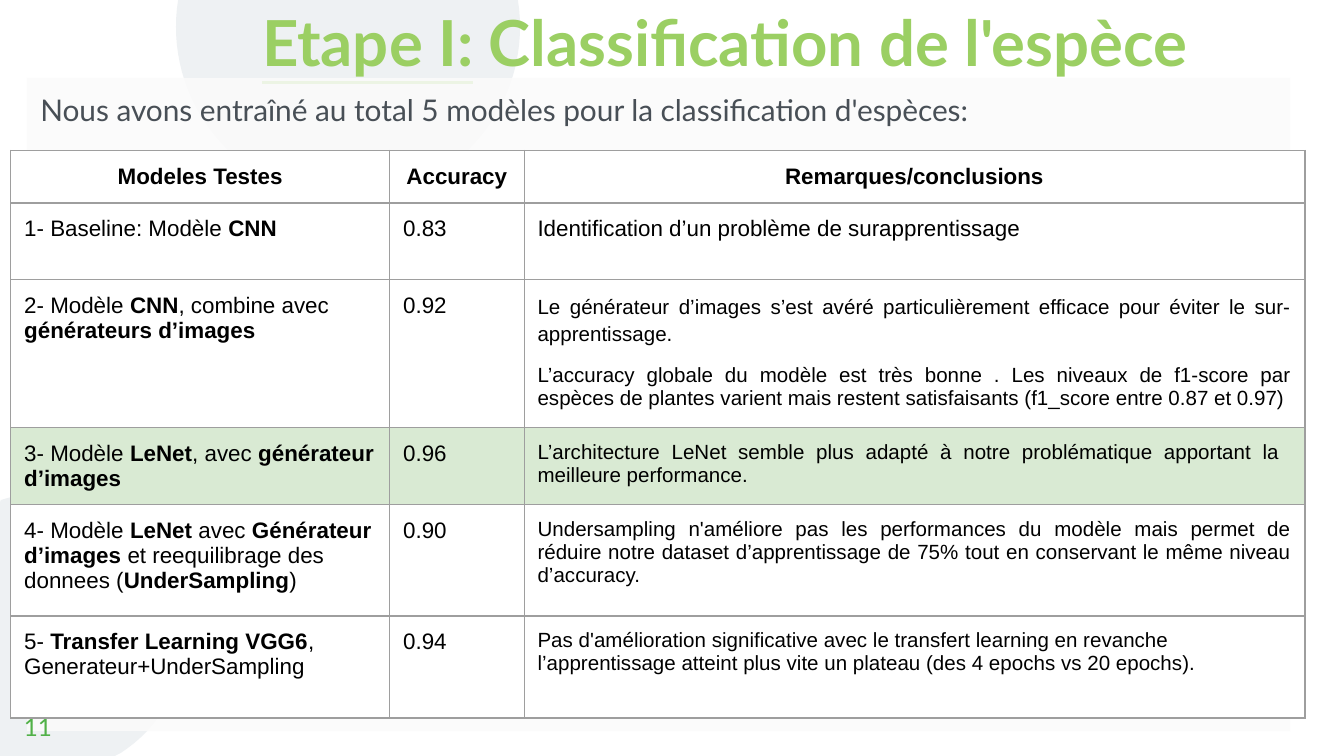
import math
from dataclasses import dataclass

import pptx
import pptx.dml.color
import pptx.enum.text
import pptx.oxml
import pptx.oxml.ns
import pptx.util
from pptx.util import Inches

COLORS = {
    "white": "FFFFFF",
    "black": "000000",
    "title": "9BCF63",
    "body": "484F56",
    "panel": "FBFBFB",
    "circle": "EEF1F3",
    "number": "51B148",
    "border": "9E9E9E",
    "best": "D9EAD3",
}
ALIGN = pptx.enum.text.PP_ALIGN
ANCHOR = pptx.enum.text.MSO_ANCHOR
SLIDE_WIDTH = 10
SLIDE_HEIGHT = SLIDE_WIDTH * 9 / 16
COLUMN_WIDTHS = (2.82, 1, 5.81)
HEADER_HEIGHT = 0.39


@dataclass
class Circle:
    x: float
    y: float
    radius: float


@dataclass
class Remark:
    text: str
    size: float = 11
    align: ALIGN = ALIGN.JUSTIFY
    line_spacing: float = 1.0
    space_before: float = 0


@dataclass
class ModelRow:
    model: str
    accuracy: str
    remarks: list[Remark]
    height: float
    fill: str = "white"


CIRCLES = [Circle(2.59, 0.2, 1.28), Circle(0.33, 4.72, 1.05)]
HEADINGS = ("Modeles Testes", "Accuracy", "Remarques/conclusions")
MODELS = [
    ModelRow("1- Baseline: Modèle **CNN**", "0.83",
             [Remark("Identification d’un problème de surapprentissage", 12, ALIGN.LEFT)], 0.57),
    ModelRow("2- Modèle **CNN**, combine avec **générateurs d’images**", "0.92",
             [Remark("Le générateur d’images s’est avéré particulièrement efficace pour "
                     "éviter le sur-apprentissage.", line_spacing=1.15),
              Remark("L’accuracy globale du modèle est très bonne . Les niveaux de f1-score "
                     "par espèces de plantes varient mais restent satisfaisants "
                     "(f1_score entre 0.87 et 0.97)", space_before=10)], 1.1),
    ModelRow("3- Modèle **LeNet**, avec **générateur d’images**", "0.96",
             [Remark("L’architecture LeNet semble plus adapté à notre problématique "
                     "apportant la  meilleure performance.")], 0.57, "best"),
    ModelRow("4- Modèle **LeNet** avec **Générateur d’images **et reequilibrage des donnees "
             "(**UnderSampling**)", "0.90",
             [Remark("Undersampling n'améliore pas les performances du modèle mais permet de "
                     "réduire notre dataset d’apprentissage de 75% tout en conservant le même "
                     "niveau d’accuracy.")], 0.83),
    ModelRow("5- **Transfer Learning VGG6**, Generateur+UnderSampling", "0.94",
             [Remark("Pas d'amélioration significative avec le transfert learning en revanche "
                     "l’apprentissage atteint plus vite un plateau "
                     "(des 4 epochs vs 20 epochs).", align=ALIGN.LEFT)], 0.76),
]


def rgb(name: str) -> pptx.dml.color.RGBColor:
    return pptx.dml.color.RGBColor.from_string(COLORS[name])


def paint(fill, name: str) -> None:
    fill.solid()
    fill.fore_color.rgb = rgb(name)


def write_text(paragraph, text: str, *, size: float = 12, font: str = "Arial",
               color: str = "black", bold: bool = False, underline: bool = False,
               align: ALIGN = ALIGN.LEFT, line_spacing: float = 1.0,
               space_before: float = 0) -> None:
    paragraph.alignment = align
    paragraph.line_spacing = line_spacing
    paragraph.space_before = pptx.util.Pt(space_before)
    for index, part in enumerate(text.split("**")):
        if not part:
            continue
        run = paragraph.add_run()
        run.text = part
        run.font.size = pptx.util.Pt(size)
        run.font.name = font
        run.font.bold = bold or index % 2 == 1
        run.font.underline = underline
        run.font.color.rgb = rgb(color)


def set_frame(frame, anchor: ANCHOR) -> None:
    frame.word_wrap = True
    frame.auto_size = pptx.enum.text.MSO_AUTO_SIZE.NONE
    frame.vertical_anchor = anchor
    frame.margin_left = frame.margin_right = Inches(0.1)
    frame.margin_top = frame.margin_bottom = Inches(0.1)


def place(shape, left: float, top: float, width: float, height: float) -> None:
    shape.left, shape.top = Inches(left), Inches(top)
    shape.width, shape.height = Inches(width), Inches(height)


def draw_circle(slide, circle: Circle) -> None:
    outline = []
    for degrees in range(0, 360, 3):
        angle = math.radians(degrees)
        x = circle.x + circle.radius * math.cos(angle)
        y = circle.y + circle.radius * math.sin(angle)
        outline.append((Inches(min(max(x, 0), SLIDE_WIDTH)),
                        Inches(min(max(y, 0), SLIDE_HEIGHT))))
    builder = slide.shapes.build_freeform(*outline[0], scale=1.0)
    builder.add_line_segments(outline[1:], close=True)
    disc = builder.convert_to_shape()
    disc.shadow.inherit = False
    paint(disc.fill, "circle")
    disc.line.fill.background()
    disc.element.getparent().insert(2, disc.element)


def format_cell(cell, fill: str) -> None:
    cell.margin_left = cell.margin_right = Inches(0.1)
    cell.margin_top = cell.margin_bottom = Inches(0.1)
    paint(cell.fill, fill)
    properties = cell._tc.get_or_add_tcPr()
    for index, side in enumerate(("lnL", "lnR", "lnT", "lnB")):
        properties.insert(index, pptx.oxml.parse_xml(
            f'<a:{side} {pptx.oxml.ns.nsdecls("a")} w="9525"><a:solidFill>'
            f'<a:srgbClr val="{COLORS["border"]}"/></a:solidFill></a:{side}>'))


def draw_models(slide) -> None:
    heights = [HEADER_HEIGHT] + [model.height for model in MODELS]
    table = slide.shapes.add_table(
        len(heights), len(COLUMN_WIDTHS), Inches(0.08), Inches(1.12),
        Inches(sum(COLUMN_WIDTHS)), Inches(sum(heights))).table
    table.first_row = table.horz_banding = False
    for column, width in zip(table.columns, COLUMN_WIDTHS):
        column.width = Inches(width)
    for row, height in zip(table.rows, heights):
        row.height = Inches(height)
    for cell, heading in zip(table.rows[0].cells, HEADINGS):
        format_cell(cell, "white")
        write_text(cell.text_frame.paragraphs[0], heading, bold=True, align=ALIGN.CENTER)
    for number, model in enumerate(MODELS, 1):
        name, accuracy, conclusion = table.rows[number].cells
        for cell in (name, accuracy, conclusion):
            format_cell(cell, model.fill)
        write_text(name.text_frame.paragraphs[0], model.model)
        write_text(accuracy.text_frame.paragraphs[0], model.accuracy)
        for index, remark in enumerate(model.remarks):
            frame = conclusion.text_frame
            paragraph = frame.add_paragraph() if index else frame.paragraphs[0]
            write_text(paragraph, remark.text, size=remark.size, align=remark.align,
                       line_spacing=remark.line_spacing, space_before=remark.space_before)


def main() -> None:
    deck = pptx.Presentation()
    deck.slide_width, deck.slide_height = Inches(SLIDE_WIDTH), Inches(SLIDE_HEIGHT)
    slide = deck.slides.add_slide(deck.slide_layouts[1])
    paint(slide.background.fill, "white")
    for circle in CIRCLES:
        draw_circle(slide, circle)

    title = slide.shapes.title
    place(title, 1.85, -0.07, 7.75, 0.76)
    set_frame(title.text_frame, ANCHOR.BOTTOM)
    heading = title.text_frame.paragraphs[0]
    style = {"size": 34, "font": "Lato", "color": "title", "bold": True}
    write_text(heading, "Etape I:", underline=True, **style)
    write_text(heading, " Classification de l'espèce", **style)

    intro = slide.placeholders[1]
    place(intro, 0.2, 0.58, 9.4, 4.86)
    set_frame(intro.text_frame, ANCHOR.TOP)
    paint(intro.fill, "panel")
    tint = intro.element.spPr.find(".//" + pptx.oxml.ns.qn("a:srgbClr"))
    tint.append(pptx.oxml.parse_xml(
        f'<a:alpha {pptx.oxml.ns.nsdecls("a")} val="85000"/>'))
    sentence = intro.text_frame.paragraphs[0]
    settings = sentence._p.get_or_add_pPr()
    settings.set("marL", "0")
    settings.set("indent", "0")
    settings.append(pptx.oxml.parse_xml(f'<a:buNone {pptx.oxml.ns.nsdecls("a")}/>'))
    write_text(sentence, "Nous avons entraîné au total 5 modèles pour la classification d'espèces:",
               size=16, font="Lato", color="body", align=ALIGN.JUSTIFY)

    page = slide.shapes.add_textbox(Inches(0.08), Inches(5.19), Inches(0.6), Inches(0.43))
    set_frame(page.text_frame, ANCHOR.MIDDLE)
    write_text(page.text_frame.paragraphs[0], "11", size=13, font="Lato", color="number")

    draw_models(slide)
    deck.save("out.pptx")


if __name__ == "__main__":
    main()
